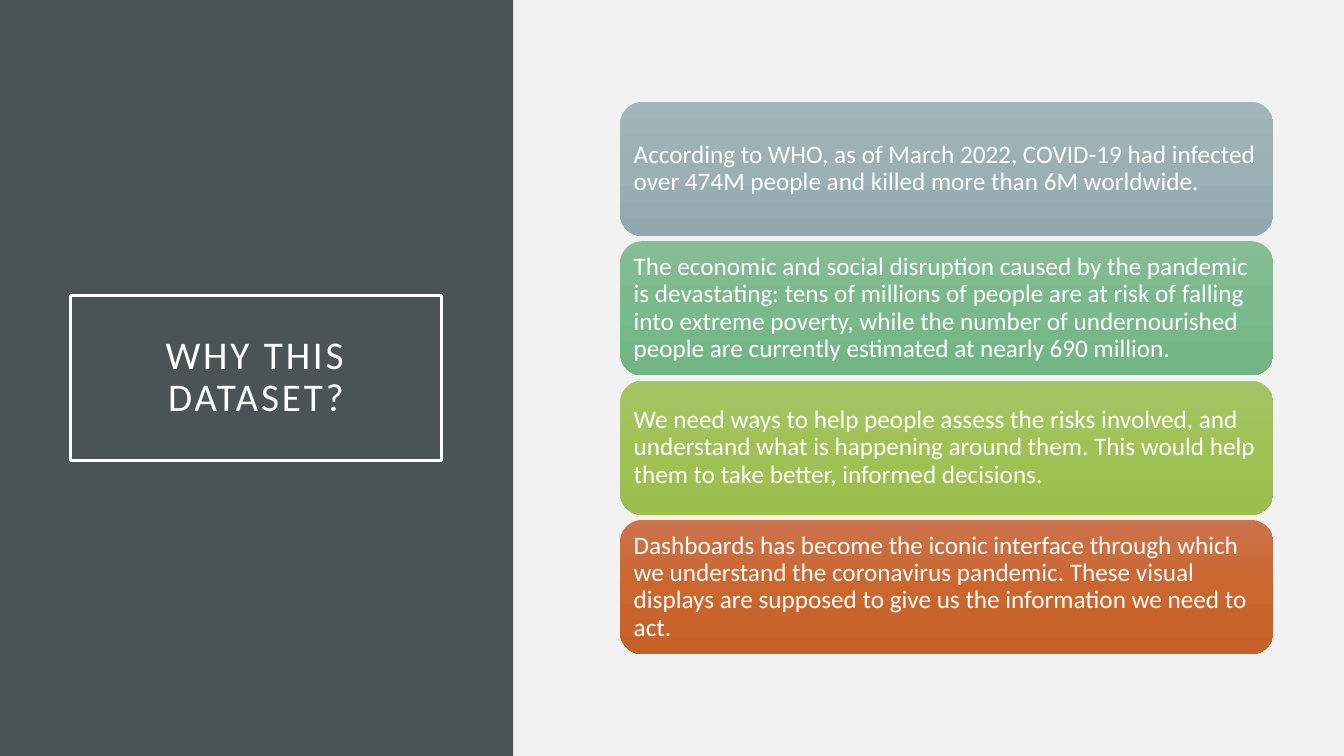
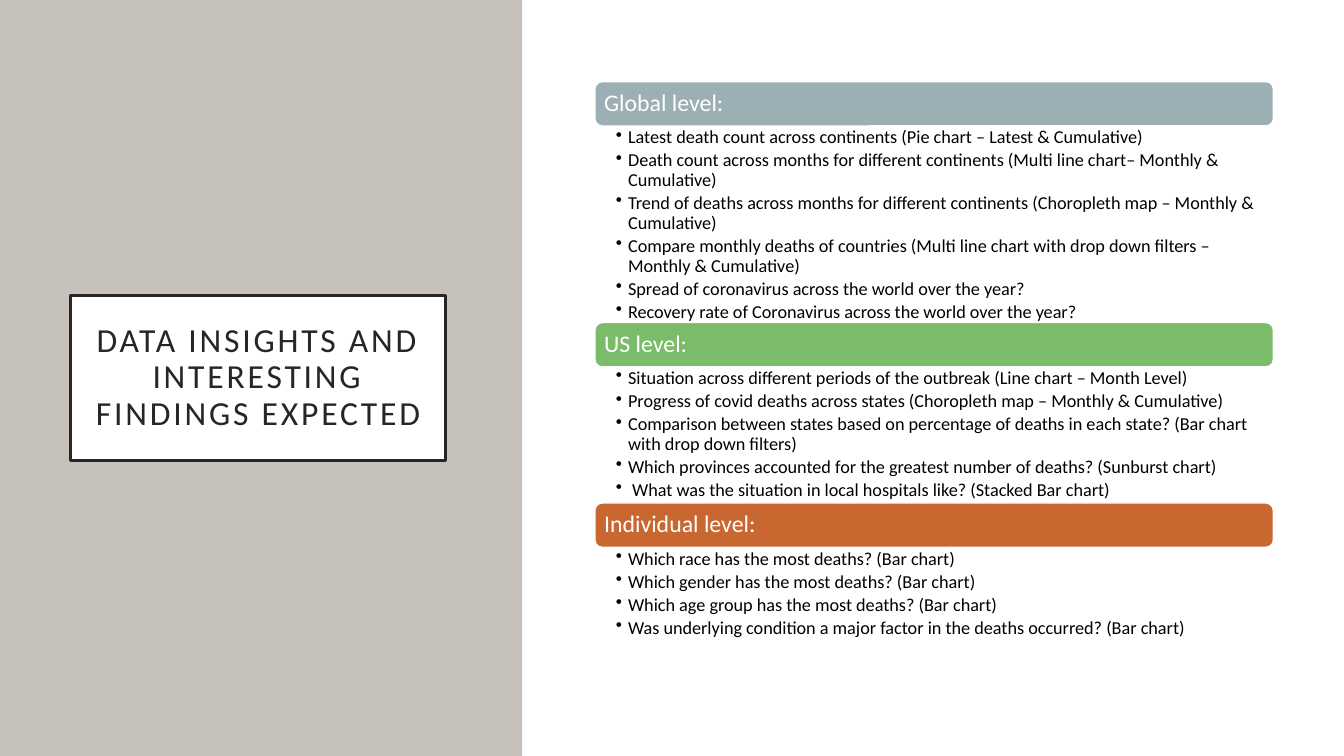
import copy

import pptx
import pptx.dml.color
import pptx.enum.shapes
import pptx.enum.text
import pptx.oxml.ns
import pptx.util
from lxml import etree

RGB = pptx.dml.color.RGBColor
Inches = pptx.util.Inches
Pt = pptx.util.Pt
SHAPE = pptx.enum.shapes.MSO_SHAPE
ANCHOR = pptx.enum.text.MSO_ANCHOR
ALIGN = pptx.enum.text.PP_ALIGN
qn = pptx.oxml.ns.qn

FONT = "Calibri"
WIDTH, HEIGHT = 13.33, 7.5
RIGHT = 12.63  # right edge of the content on both slides

WHITE = RGB(0xFF, 0xFF, 0xFF)
BLACK = RGB(0x00, 0x00, 0x00)
INK = RGB(0x26, 0x26, 0x26)
MIST = RGB(0xF2, 0xF2, 0xF2)
SLATE = RGB(0x4A, 0x53, 0x56)
STONE = RGB(0xC6, 0xC1, 0xBA)
BLUE_GREY = RGB(0x9B, 0xAF, 0xB5)
GREEN = RGB(0x7A, 0xBC, 0x69)
RUST = RGB(0xC9, 0x67, 0x31)
BLUE_GREY_FADE = (RGB(0xA3, 0xB5, 0xBB), BLUE_GREY, RGB(0x93, 0xA9, 0xAF))
SEA_FADE = (RGB(0x86, 0xBD, 0x95), RGB(0x7A, 0xB9, 0x8B), RGB(0x72, 0xB5, 0x84))
LIME_FADE = (RGB(0xA5, 0xC4, 0x66), RGB(0xA0, 0xC2, 0x55), RGB(0x9B, 0xBE, 0x4D))
RUST_FADE = (RGB(0xCC, 0x73, 0x4B), RGB(0xCB, 0x66, 0x2F), RGB(0xC8, 0x61, 0x28))

REASONS = [
    (BLUE_GREY_FADE, "According to WHO, as of March 2022, COVID-19 had infected over "
     "474M people and killed more than 6M worldwide."),
    (SEA_FADE, "The economic and social disruption caused by the pandemic is "
     "devastating: tens of millions of people are at risk of falling into extreme "
     "poverty, while the number of undernourished people are currently estimated at "
     "nearly 690 million."),
    (LIME_FADE, "We need ways to help people assess the risks involved, and understand "
     "what is happening around them. This would help them to take better, informed "
     "decisions."),
    (RUST_FADE, "Dashboards has become the iconic interface through which we understand "
     "the coronavirus pandemic. These visual displays are supposed to give us the "
     "information we need to act."),
]

# heading, bar colour, height of the list, list items
LEVELS = [
    ("Global level:", BLUE_GREY, 1.95, [
        "Latest death count across continents (Pie chart – Latest & Cumulative)",
        "Death count across months for different continents "
        "(Multi line chart– Monthly & Cumulative)",
        "Trend of deaths across months for different continents "
        "(Choropleth map – Monthly & Cumulative)",
        "Compare monthly deaths of countries "
        "(Multi line chart with drop down filters – Monthly & Cumulative)",
        "Spread of coronavirus across the world over the year?",
        "Recovery rate of Coronavirus across the world over the year?",
    ]),
    ("US level:", GREEN, 1.35, [
        "Situation across different periods of the outbreak (Line chart – Month Level)",
        "Progress of covid deaths across states "
        "(Choropleth map – Monthly & Cumulative)",
        "Comparison between states based on percentage of deaths in each state? "
        "(Bar chart with drop down filters)",
        "Which provinces accounted for the greatest number of deaths? (Sunburst chart)",
        " What was the situation in local hospitals like? (Stacked Bar chart)",
    ]),
    ("Individual level:", RUST, 0.94, [
        "Which race has the most deaths? (Bar chart)",
        "Which gender has the most deaths? (Bar chart)",
        "Which age group has the most deaths? (Bar chart)",
        "Was underlying condition a major factor in the deaths occurred? (Bar chart)",
    ]),
]


def add_box(slide, kind, box, fill=None, line=None, line_width=1):
    sp = slide.shapes.add_shape(kind, *map(Inches, box))
    sp.shadow.inherit = False
    if fill is None:
        sp.fill.background()
    else:
        sp.fill.solid()
        sp.fill.fore_color.rgb = fill
    if line is None:
        sp.line.fill.background()
    else:
        sp.line.color.rgb = line
        sp.line.width = Pt(line_width)
    return sp


def fade(sp, colors):
    """Fill with a three-stop gradient running from top to bottom."""
    sp.fill.gradient()
    sp.fill.gradient_angle = 270
    first = sp.fill._xPr.find(".//" + qn("a:gs"))
    middle = copy.deepcopy(first)
    middle.set("pos", "50000")
    first.addnext(middle)
    for stop, color in zip(sp.fill.gradient_stops, colors):
        stop.color.rgb = color


def set_frame(sp, insets, anchor=ANCHOR.MIDDLE):
    tf = sp.text_frame
    tf.word_wrap = True
    tf.vertical_anchor = anchor
    tf.margin_left, tf.margin_top, tf.margin_right, tf.margin_bottom = map(Inches, insets)
    return tf


def write(p, text, size, color, align=ALIGN.LEFT):
    p.alignment = align
    p.line_spacing = 0.9
    r = p.add_run()
    r.text = text
    r.font.name = FONT
    r.font.size = Pt(size)
    r.font.color.rgb = color
    return r


def write_bullets(tf, items, size, color, gap):
    for i, item in enumerate(items):
        p = tf.paragraphs[0] if i == 0 else tf.add_paragraph()
        pPr = p._p.get_or_add_pPr()
        pPr.set("marL", str(Inches(0.12)))
        pPr.set("indent", str(-Inches(0.12)))
        etree.SubElement(pPr, qn("a:buChar")).set("char", "•")
        p.space_after = Pt(gap)
        write(p, item, size, color)


def add_titled_slide(prs, background, panel, panel_width, title, size, title_width,
                     ink, title_fill=None):
    """Blank slide with a side panel and a framed title on it."""
    slide = prs.slides.add_slide(prs.slide_layouts[6])
    slide.background.fill.solid()
    slide.background.fill.fore_color.rgb = background
    add_box(slide, SHAPE.RECTANGLE, (0, 0, panel_width, HEIGHT), panel)
    frame = add_box(slide, SHAPE.RECTANGLE, (0.7, 2.93, title_width, 1.64),
                    title_fill, ink, 2.5)
    tf = set_frame(frame, (0.2,) * 4)
    r = write(tf.paragraphs[0], title, size, ink, ALIGN.CENTER)
    r._r.get_or_add_rPr().set("spc", "200")
    return slide


def build_reasons(prs):
    slide = add_titled_slide(prs, MIST, SLATE, 5.09, "WHY THIS DATASET?", 28, 3.68, WHITE)
    left, top, bottom, gap = 6.15, 1.01, 6.49, 0.05
    height = (bottom - top - gap * (len(REASONS) - 1)) / len(REASONS)
    for i, (colors, text) in enumerate(REASONS):
        box = (left, top + i * (height + gap), RIGHT - left, height)
        card = add_box(slide, SHAPE.ROUNDED_RECTANGLE, box)
        fade(card, colors)
        write(set_frame(card, (0.07,) * 4).paragraphs[0], text, 18, WHITE)


def build_levels(prs):
    slide = add_titled_slide(prs, WHITE, STONE, 5.18,
                             "DATA INSIGHTS AND INTERESTING FINDINGS EXPECTED",
                             24, 3.72, INK, WHITE)
    left, top, bar_height = 5.9, 0.81, 0.44
    width = RIGHT - left
    for heading, color, list_height, items in LEVELS:
        bar = add_box(slide, SHAPE.ROUNDED_RECTANGLE, (left, top, width, bar_height),
                      color, WHITE)
        write(set_frame(bar, (0.07,) * 4).paragraphs[0], heading, 17, WHITE)
        top += bar_height
        body = slide.shapes.add_textbox(*map(Inches, (left, top, width, list_height)))
        tf = set_frame(body, (0.21, 0.02, 0.13, 0.02), ANCHOR.TOP)
        write_bullets(tf, items, 13, BLACK, 2.4)
        top += list_height


def main():
    prs = pptx.Presentation()
    prs.slide_width, prs.slide_height = Inches(WIDTH), Inches(HEIGHT)
    build_reasons(prs)
    build_levels(prs)
    prs.save("out.pptx")


if __name__ == "__main__":
    main()
